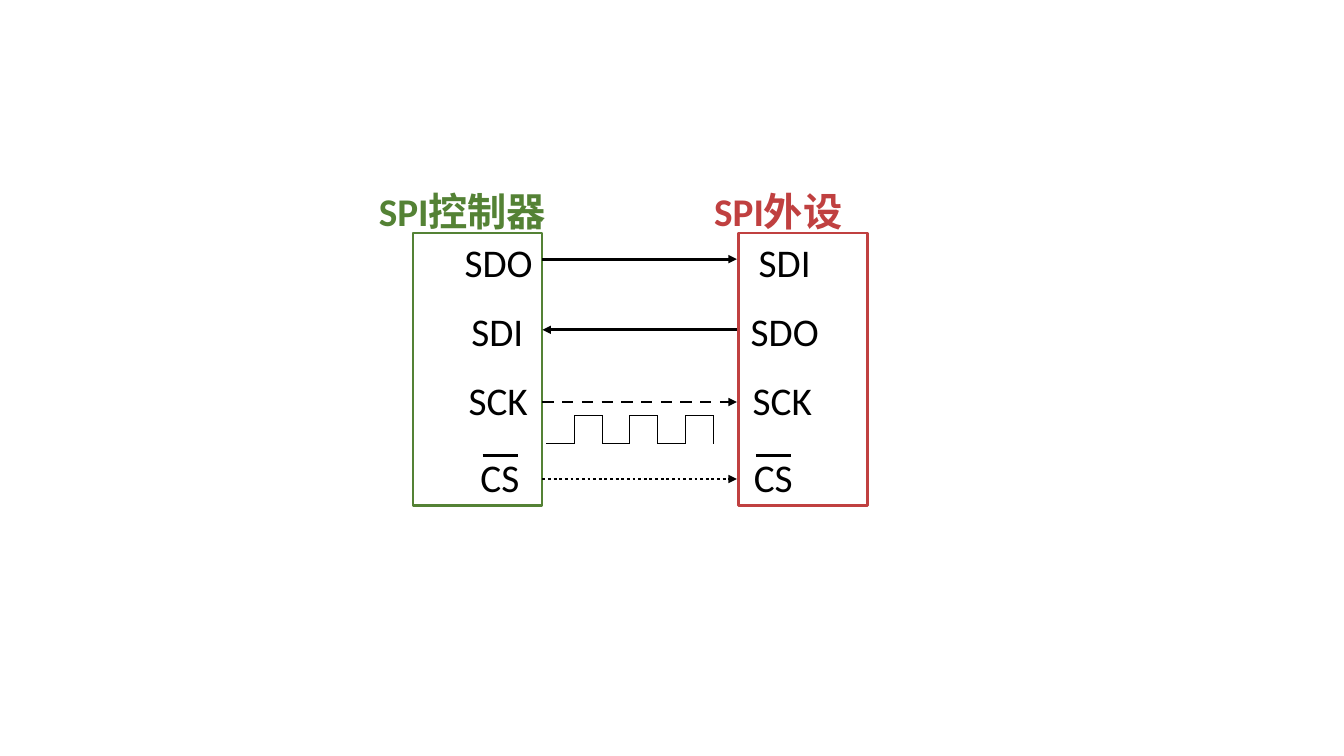
"""Build a slide showing the four signals between an SPI controller and a peripheral."""
import pptx
import pptx.dml.color
import pptx.enum.dml
import pptx.enum.shapes
import pptx.enum.text
import pptx.oxml
import pptx.oxml.ns
import pptx.util

Cm = pptx.util.Cm
Pt = pptx.util.Pt
RGB = pptx.dml.color.RGBColor.from_string
Dash = pptx.enum.dml.MSO_LINE
Shape = pptx.enum.shapes.MSO_SHAPE
Link = pptx.enum.shapes.MSO_CONNECTOR

theme = {
    "font": "Calibri", "size": Pt(28), "bold": Pt(2), "thin": Pt(0.5),
    "ink": RGB("000000"), "green": RGB("548235"), "red": RGB("C04040"),
}

deck = pptx.Presentation()
deck.slide_width, deck.slide_height = Cm(33.87), Cm(19.05)
slide = deck.slides.add_slide(deck.slide_layouts[6])


def label(text, left, top, width, color, bold=False):
    box = slide.shapes.add_textbox(Cm(left), Cm(top), Cm(width), Cm(1.45))
    frame = box.text_frame
    frame.word_wrap = False
    frame.auto_size = pptx.enum.text.MSO_AUTO_SIZE.SHAPE_TO_FIT_TEXT
    para = frame.paragraphs[0]
    para.text = text
    para.font.name, para.font.size = theme["font"], theme["size"]
    para.font.bold, para.font.color.rgb = bold, theme[color]


def line(x1, y1, x2, y2, weight="bold", dash=None, arrow=False):
    link = slide.shapes.add_connector(Link.STRAIGHT, Cm(x1), Cm(y1), Cm(x2), Cm(y2))
    link.line.color.rgb = theme["ink"]
    link.line.width = theme[weight]
    if dash:
        link.line.dash_style = dash
    props = link._element.spPr
    if arrow:
        tail = pptx.oxml.parse_xml(f'<a:tailEnd {pptx.oxml.ns.nsdecls("a")} type="triangle"/>')
        props.get_or_add_ln().append(tail)
    props.append(pptx.oxml.parse_xml(f'<a:effectLst {pptx.oxml.ns.nsdecls("a")}/>'))


top = 5.87
chips = [
    ("SPI控制器", 10.41, 9.3, 6.17, "green"),
    ("SPI外设", 18.62, 17.75, 6.27, "red"),
]
for name, left, start, width, color in chips:
    chip = slide.shapes.add_shape(Shape.RECTANGLE, Cm(left), Cm(top), Cm(3.25), Cm(6.88))
    chip.shadow.inherit = False
    chip.fill.background()
    chip.line.color.rgb = theme[color]
    chip.line.width = theme["bold"]
    label(name, start, 4.6, width, color, bold=True)

near, far = 13.67, 18.57
wide = {"SDO": 2.24, "SDI": 1.83, "SCK": 2.01, "CS": 1.5}
rows = [
    ("SDO", 11.46, "SDI", 18.87, 5.87, 6.53, near, far, None),
    ("SDI", 11.63, "SDO", 18.67, 7.62, 8.31, far, near, None),
    ("SCK", 11.56, "SCK", 18.72, 9.37, 10.13, near, far, Dash.DASH),
    ("CS", 11.86, "CS", 18.75, 11.3, 12.07, near, far, Dash.ROUND_DOT),
]
for one, left, two, right, high, mid, start, end, dash in rows:
    for pin, x in ((one, left), (two, right)):
        label(pin, x, high, wide[pin], "ink")
        if pin == "CS":
            line(x + 0.3, 11.48, x + 1.19, 11.48)
    line(start, mid, end, mid, dash=dash, arrow=True)

low, peak, step = 11.18, 10.46, 0.7
for i in range(6):
    x = 13.77 + i * step
    y = peak if i % 2 else low
    line(x, y, x + step, y, "thin")
    line(x + step, low, x + step, peak, "thin")

deck.save("out.pptx")
